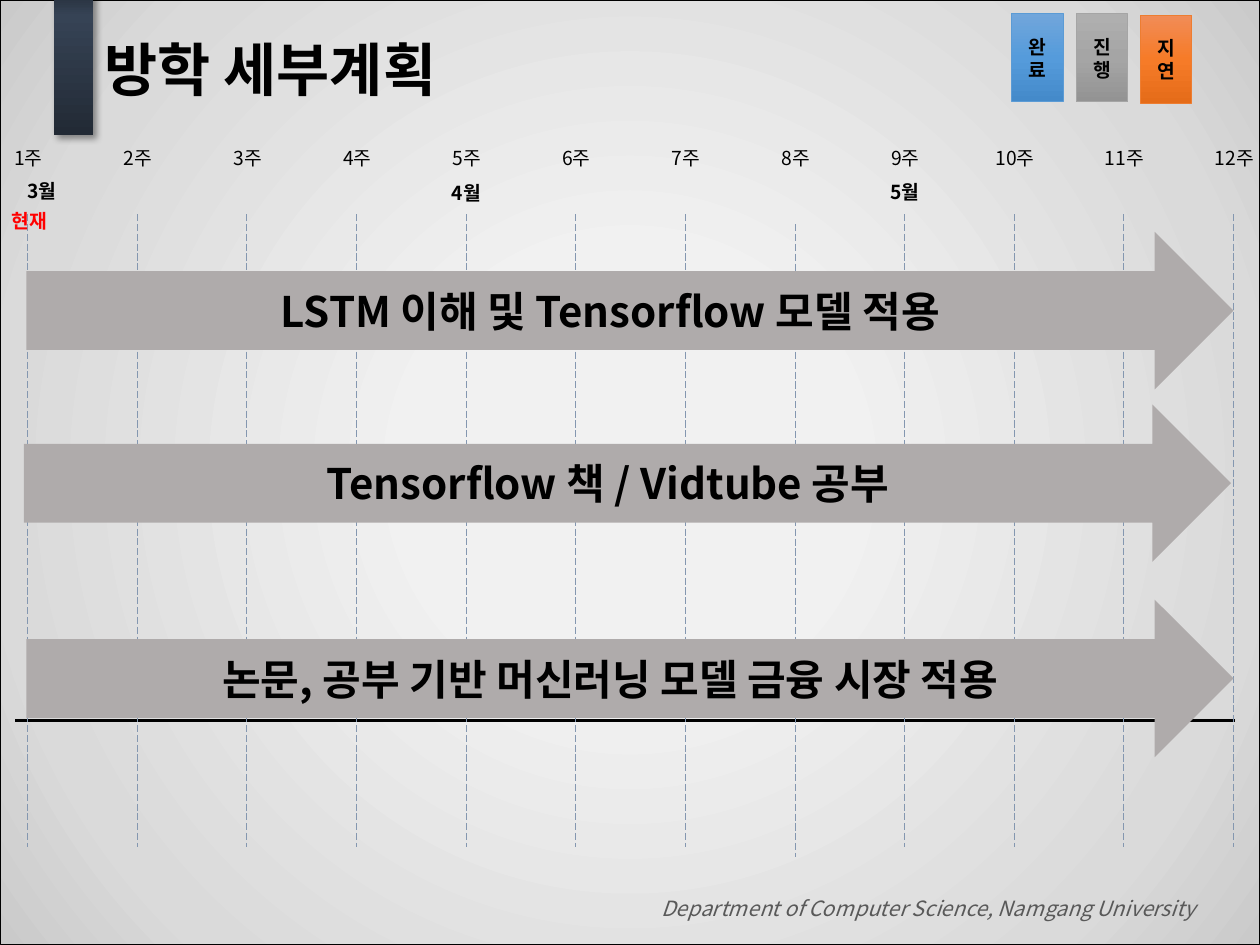
from copy import deepcopy
from lxml.etree import SubElement
from pptx import Presentation
from pptx.dml.color import RGBColor
from pptx.enum.dml import MSO_LINE
from pptx.enum.shapes import MSO_CONNECTOR, MSO_SHAPE
from pptx.enum.text import MSO_ANCHOR as ANCHOR, PP_ALIGN as ALIGN
from pptx.oxml import parse_xml
from pptx.oxml.ns import nsdecls, qn
from pptx.util import Inches, Pt

rgb = RGBColor.from_string
FONT = "Noto Sans CJK KR"


def add_block(kind, box, fill, line=None, direction=""):
    block = slide.shapes.add_shape(kind, *map(Inches, box))
    block.shadow.inherit = False
    block.fill.solid()
    if isinstance(fill, str):
        block.fill.fore_color.rgb = rgb(fill)
    else:
        stops = "".join(f'<a:gs pos="{pos * 1000}"><a:srgbClr val="{color}"/></a:gs>' for pos, color in fill)
        solid = block._element.spPr.find(qn("a:solidFill"))
        solid.getparent().replace(solid, parse_xml(
            f'<a:gradFill {nsdecls("a")} rotWithShape="1"><a:gsLst>{stops}</a:gsLst>{direction}</a:gradFill>'))
    if line:
        block.line.color.rgb = rgb(line)
        block.line.width = Pt(0.5)
    else:
        block.line.fill.background()
    return block


def write(text, box=None, shape=None, size=11, color="000000", bold=False, italic=False,
          align=ALIGN.CENTER, anchor=ANCHOR.TOP, side=0.1, spacing=None):
    target = shape or slide.shapes.add_textbox(*map(Inches, box))
    frame = target.text_frame
    frame.word_wrap = True
    frame.vertical_anchor = anchor
    frame.margin_left = frame.margin_right = Inches(side)
    paragraph = frame.paragraphs[0]
    paragraph.text = text
    paragraph.alignment = align
    paragraph.line_spacing = spacing
    for run in paragraph.runs:
        run.font.name = FONT
        run.font.size = Pt(size)
        run.font.bold = bold
        run.font.italic = italic
        run.font.color.rgb = rgb(color)
        SubElement(run._r.rPr, qn("a:ea"), typeface=FONT)
    for line_break in paragraph._p.findall(qn("a:br")):
        line_break.append(deepcopy(paragraph.runs[0]._r.rPr))


prs = Presentation()
prs.slide_width, prs.slide_height = Inches(10), Inches(7.5)
slide = prs.slides.add_slide(prs.slide_layouts[6])

add_block(MSO_SHAPE.RECTANGLE, (0, 0, 10, 7.5),
          [(27, "F1F1F1"), (80, "DADADA"), (100, "CACACA")], "000000",
          '<a:path path="circle"><a:fillToRect l="50000" t="50000" r="50000" b="50000"/></a:path>')
write("Department of Computer Science, Namgang University", (1.93, 7.06, 7.66, 0.3),
      size=12, color="595959", italic=True, align=ALIGN.RIGHT)

title_bar = add_block(MSO_SHAPE.RECTANGLE, (0.43, -0.11, 0.31, 1.18),
                      [(0, "222A35"), (80, "364355"), (100, "222A35")],
                      direction='<a:lin ang="16200000" scaled="0"/>')
effects = title_bar._element.spPr.find(qn("a:effectLst"))
effects.append(parse_xml(
    f'<a:outerShdw {nsdecls("a")} blurRad="50800" dist="38100" dir="2700000" algn="tl" rotWithShape="0">'
    '<a:srgbClr val="000000"><a:alpha val="40000"/></a:srgbClr></a:outerShdw>'))
write("방학 세부계획", (0.73, -0.15, 8.62, 1.45), size=33, bold=True,
      align=ALIGN.LEFT, anchor=ANCHOR.MIDDLE, spacing=0.9)

FIRST_WEEK, WEEK_STEP = 0.22, 0.87
guides = [(0.12, 5.72, 9.8, 5.72, "000000", 1.5, None)]
for week in range(12):
    x = FIRST_WEEK + week * WEEK_STEP
    top = 1.78 if week == 7 else 1.7
    guides.append((x, top, x, top + 5.02, "8497B0", 0.5, MSO_LINE.LONG_DASH))
    write(f"{week + 1}주", (x - 0.29, 1.11, 0.59, 0.29))

for x1, y1, x2, y2, color, width, dash in guides:
    guide = slide.shapes.add_connector(MSO_CONNECTOR.STRAIGHT, *map(Inches, (x1, y1, x2, y2)))
    guide.line.color.rgb = rgb(color)
    guide.line.width = Pt(width)
    guide.line.dash_style = dash
    SubElement(guide._element.spPr, qn("a:effectLst"))

for month, left, top in [("3월", -0.16, 1.37), ("4월", 3.21, 1.39), ("5월", 6.69, 1.38)]:
    write(month, (left, top, 0.98, 0.29), bold=True)
write("현재", (0.01, 1.62, 0.45, 0.27), color="FF0000", bold=True, anchor=ANCHOR.MIDDLE, side=0)

statuses = [
    ("완\v료", 8.03, 0.11, ("71A6DB", "559BDB", "448ACA"), "5B9BD5"),
    ("진\v행", 8.54, 0.11, ("AFAFAF", "A5A5A5", "939393"), "A5A5A5"),
    ("지\v연", 9.05, 0.12, ("F18C57", "F67B28", "E56C19"), "ED7D31"),
]
for status, left, top, colors, outline in statuses:
    badge = add_block(MSO_SHAPE.RECTANGLE, (left, top, 0.41, 0.7), list(zip((0, 50, 100), colors)),
                      outline, '<a:lin ang="5400000" scaled="0"/>')
    write(status, shape=badge, bold=True, anchor=ANCHOR.MIDDLE, side=0)

tasks = [
    ("LSTM 이해 및 Tensorflow 모델 적용", 0.21, 1.84),
    ("Tensorflow 책 / Vidtube 공부", 0.19, 3.21),
    ("논문, 공부 기반 머신러닝 모델 금융 시장 적용", 0.21, 4.76),
]
for task, left, top in tasks:
    arrow = add_block(MSO_SHAPE.RIGHT_ARROW, (left, top, 9.58, 1.25), "AFABAB")
    write(task, shape=arrow, size=24, bold=True, anchor=ANCHOR.MIDDLE, side=0)

prs.save("out.pptx")
